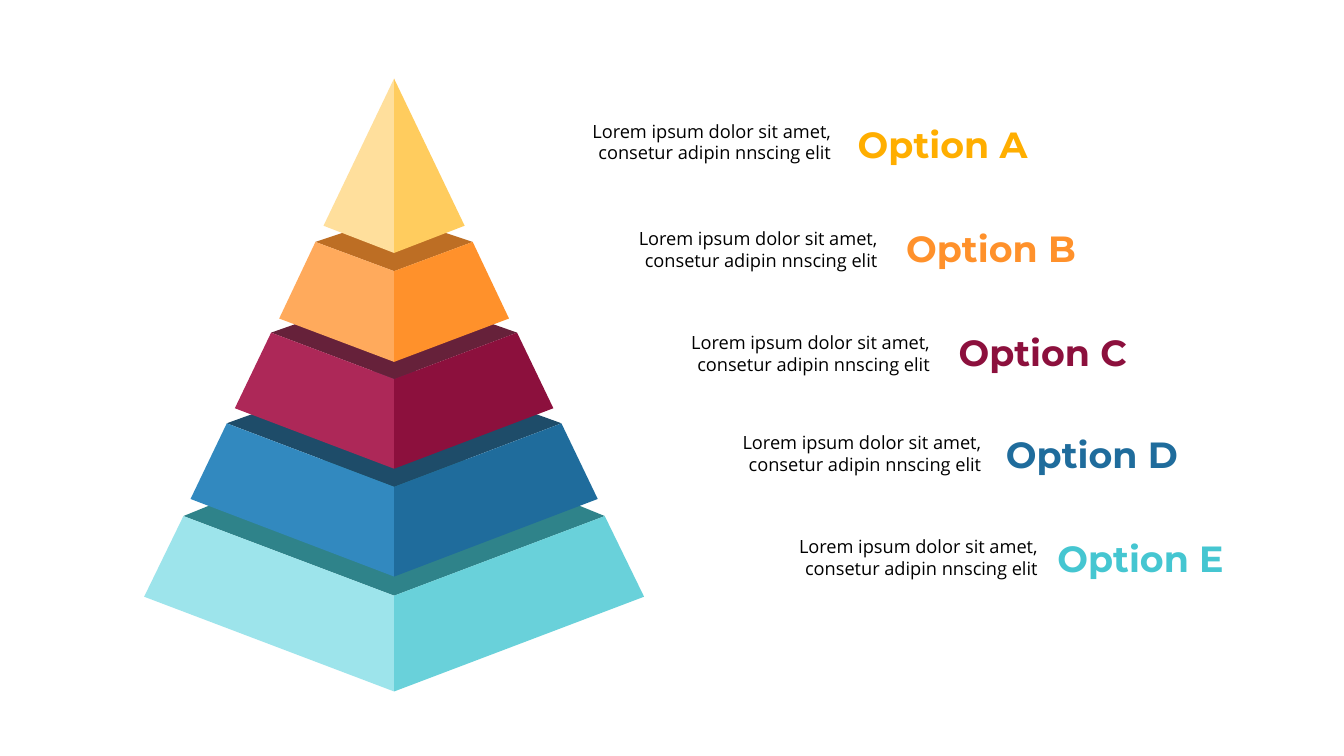
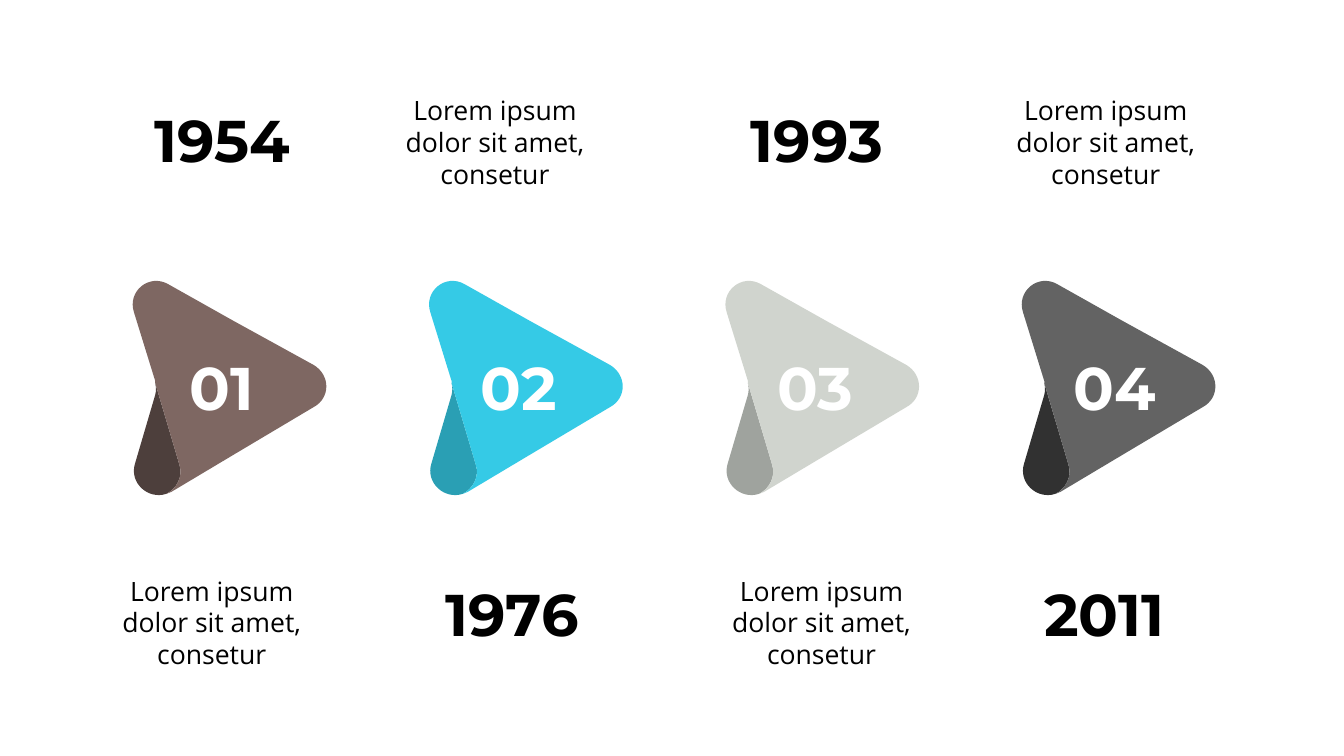
from pptx import Presentation
from pptx.dml.color import RGBColor
from pptx.enum.text import MSO_ANCHOR, PP_ALIGN
from pptx.oxml.ns import qn
from pptx.util import Inches, Pt

LEFT, CENTER, RIGHT = PP_ALIGN.LEFT, PP_ALIGN.CENTER, PP_ALIGN.RIGHT
TOP = MSO_ANCHOR.TOP
BLANK_LAYOUT = 6

HEADING_FONT, BODY_FONT = "Montserrat", "Open Sans"
COLORS = {
    "black": "000000", "white": "FFFFFF",
    "gold": "FFAE00", "gold_left": "FFDF9C", "gold_right": "FFCC5E",
    "orange": "FF912B", "orange_left": "FFAA5C", "orange_lid": "BD6E24",
    "wine": "8C103D", "wine_left": "AD2858", "wine_lid": "66213A",
    "blue": "1F6C9C", "blue_left": "3289BF", "blue_lid": "1E4C69",
    "teal": "45C6D1", "teal_left": "9DE4EB", "teal_right": "69D1DA",
    "teal_lid": "2F838A",
    "brown": "7E6762", "brown_fold": "4D3F3C",
    "cyan": "35CAE6", "cyan_fold": "2A9FB4",
    "silver": "D0D4CE", "silver_fold": "9FA39E",
    "gray": "636363", "gray_fold": "313131",
}

# Pyramid: back corner y, shoulder (half width, y), front top y,
# base (half width, y), front bottom y, colours of lid, left and right face
PYRAMID_AXIS = 3.91
TIERS = [
    (4.27, (2.09, 5.12), 5.91, (2.48, 5.92), 6.86,
     ("teal_lid", "teal_left", "teal_right")),
    (3.6, (1.66, 4.2), 4.83, (2.02, 4.95), 5.72,
     ("blue_lid", "blue_left", "blue")),
    (2.87, (1.22, 3.3), 3.76, (1.58, 4.05), 4.65,
     ("wine_lid", "wine_left", "wine")),
    (2.14, (0.78, 2.4), 2.69, (1.14, 3.16), 3.59,
     ("orange_lid", "orange_left", "orange")),
    (0.78, (0, 0.78), 0.78, (0.7, 2.24), 2.51,
     (None, "gold_left", "gold_right")),
]

# Options: letter, colour, left and top of the label, left and top of the text
OPTION_TEXT = "Lorem ipsum dolor sit amet, consetur adipin nnscing elit"
OPTIONS = [
    ("A", "gold", (8.51, 1.21), (5.66, 1.14)),
    ("B", "orange", (8.99, 2.24), (6.12, 2.21)),
    ("C", "wine", (9.51, 3.28), (6.64, 3.24)),
    ("D", "blue", (9.98, 4.29), (7.15, 4.23)),
    ("E", "teal", (10.49, 5.32), (7.71, 5.26)),
]

# Timeline: year, colour, left of the number, year and text
MARKER_PITCH = 2.94
MILESTONE_TEXT = "Lorem ipsum dolor sit amet, consetur"
MILESTONES = [
    ("1954", "brown", 1.88, 1.53, 1.09),
    ("1976", "cyan", 4.77, 4.42, 3.9),
    ("1993", "silver", 7.71, 7.45, 7.14),
    ("2011", "gray", 10.65, 10.36, 9.96),
]

# Marker outlines: a pair is a corner, six values are a Bezier curve
FOLD = [(1.78, 4.61), (1.54, 3.8), (1.55, 3.84, 1.55, 3.88, 1.54, 3.92),
        (1.34, 4.6), (1.28, 4.79, 1.47, 4.96, 1.65, 4.9),
        (1.75, 4.85, 1.82, 4.73, 1.78, 4.61)]
ARROW = [(1.65, 4.9), (1.67, 4.89, 1.68, 4.89, 1.7, 4.88), (2.32, 4.51),
         (3.11, 4.04), (3.28, 3.95, 3.28, 3.72, 3.11, 3.62), (2.31, 3.18),
         (1.67, 2.82), (1.48, 2.71, 1.26, 2.89, 1.33, 3.1), (1.54, 3.78),
         (1.54, 3.8), (1.78, 4.61), (1.82, 4.73, 1.75, 4.85, 1.65, 4.9)]


def color(name):
    return RGBColor.from_string(COLORS[name])


def add_text(slide, text, left, top, width, height, *, size, font=BODY_FONT,
             fill="black", bold=False, align=LEFT, inset=(0, 0),
             line_spacing=None):
    box = slide.shapes.add_textbox(*map(Inches, (left, top, width, height)))
    frame = box.text_frame
    frame.word_wrap = True
    frame.vertical_anchor = TOP
    frame.margin_left = frame.margin_right = Inches(inset[0])
    frame.margin_top = frame.margin_bottom = Inches(inset[1])
    paragraph = frame.paragraphs[0]
    paragraph.alignment = align
    if line_spacing:
        paragraph.line_spacing = Pt(line_spacing)
    run = paragraph.add_run()
    run.text = text
    run.font.name, run.font.size, run.font.bold = font, Pt(size), bold
    run.font.color.rgb = color(fill)


def add_heading(slide, text, left, top, width, height, **text_format):
    add_text(slide, text, left, top, width, height, font=HEADING_FONT,
             bold=True, **text_format)


def add_body(slide, text, left, top, width, height, size, align):
    add_text(slide, text, left, top, width, height, size=size, align=align,
             inset=(0.1, 0.05), line_spacing=1.2 * size)


def bend_curves(shape, nodes):
    """Join the three lines through a curve's control points into a curve."""
    lines = iter(list(shape._element.iter(qn("a:lnTo"))))
    for node in nodes:
        segment, *others = [next(lines) for _ in range(len(node) // 2)]
        if others:
            segment.tag = qn("a:cubicBezTo")
        for other in others:
            segment.append(other[0])
            other.getparent().remove(other)


def add_outline(shapes, nodes, fill, shift=0):
    points = [(Inches(node[i] + shift), Inches(node[i + 1]))
              for node in nodes for i in range(0, len(node), 2)]
    builder = shapes.build_freeform(*points[0])
    builder.add_line_segments(points[1:], close=True)
    shape = builder.convert_to_shape()
    bend_curves(shape, nodes[1:])
    shape.shadow.inherit = False
    shape.fill.solid()
    shape.fill.fore_color.rgb = color(fill)
    shape.line.fill.background()


def add_tier(slide, back, shoulder, front_top, base, front_bottom, fills):
    shapes = slide.shapes.add_group_shape().shapes
    lid_fill, *face_fills = fills
    if lid_fill:
        lid = [(PYRAMID_AXIS, back),
               (PYRAMID_AXIS + shoulder[0], shoulder[1]),
               (PYRAMID_AXIS, front_top),
               (PYRAMID_AXIS - shoulder[0], shoulder[1])]
        add_outline(shapes, lid, lid_fill)
    for side, fill in zip((-1, 1), face_fills):
        face = [(PYRAMID_AXIS, front_top), (PYRAMID_AXIS, front_bottom),
                (PYRAMID_AXIS + side * base[0], base[1])]
        if shoulder[0]:
            face.append((PYRAMID_AXIS + side * shoulder[0], shoulder[1]))
        add_outline(shapes, face, fill)


def add_marker(slide, column, fill):
    shapes = slide.shapes.add_group_shape().shapes
    shift = column * MARKER_PITCH
    add_outline(shapes, FOLD, fill + "_fold", shift)
    add_outline(shapes, ARROW, fill, shift)


def build_pyramid(slide):
    for tier in TIERS:
        add_tier(slide, *tier)
    for letter, fill, label_corner, text_corner in OPTIONS:
        add_heading(slide, f"Option {letter}", *label_corner, 1.83, 0.44,
                    size=26, fill=fill)
        add_body(slide, OPTION_TEXT, *text_corner, 2.68, 0.54, 13, RIGHT)


def build_timeline(slide):
    for column, milestone in enumerate(MILESTONES):
        year, fill, number_left, year_left, text_left = milestone
        # Years and texts swap sides from column to column
        year_top, text_top = (5.73, 0.88) if column % 2 else (1.03, 5.65)
        add_marker(slide, column, fill)
        add_heading(slide, f"{column + 1:02}", number_left, 3.48, 1.15, 0.9,
                    size=43, fill="white")
        add_heading(slide, year, year_left, year_top, 1.7, 0.88, size=42)
        add_body(slide, MILESTONE_TEXT, text_left, text_top, 2.02, 1.06,
                 19, CENTER)


def main():
    presentation = Presentation()
    presentation.slide_width = Inches(40 / 3)
    presentation.slide_height = Inches(7.5)
    layout = presentation.slide_layouts[BLANK_LAYOUT]
    for build in (build_pyramid, build_timeline):
        build(presentation.slides.add_slide(layout))
    presentation.save("out.pptx")


if __name__ == "__main__":
    main()
